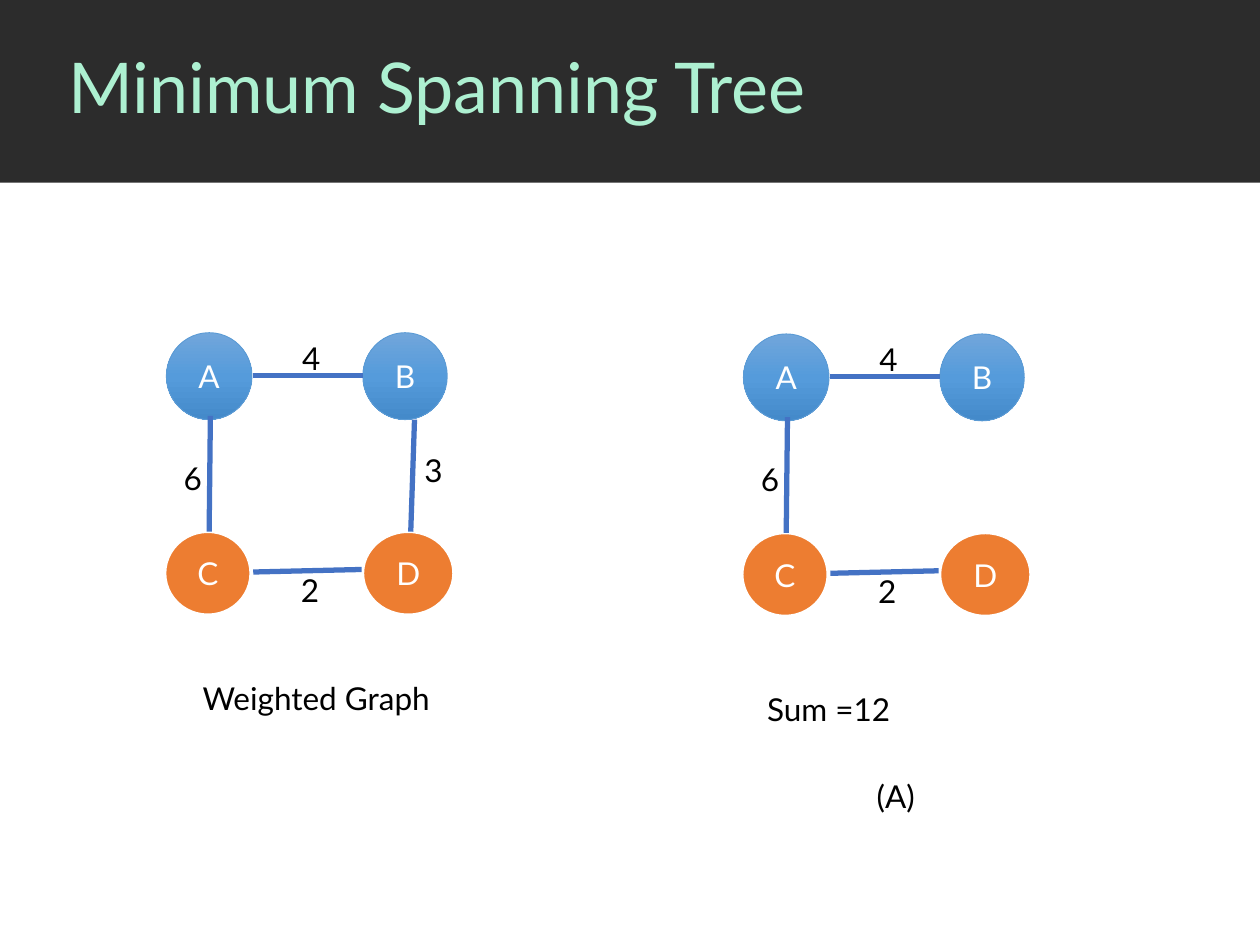
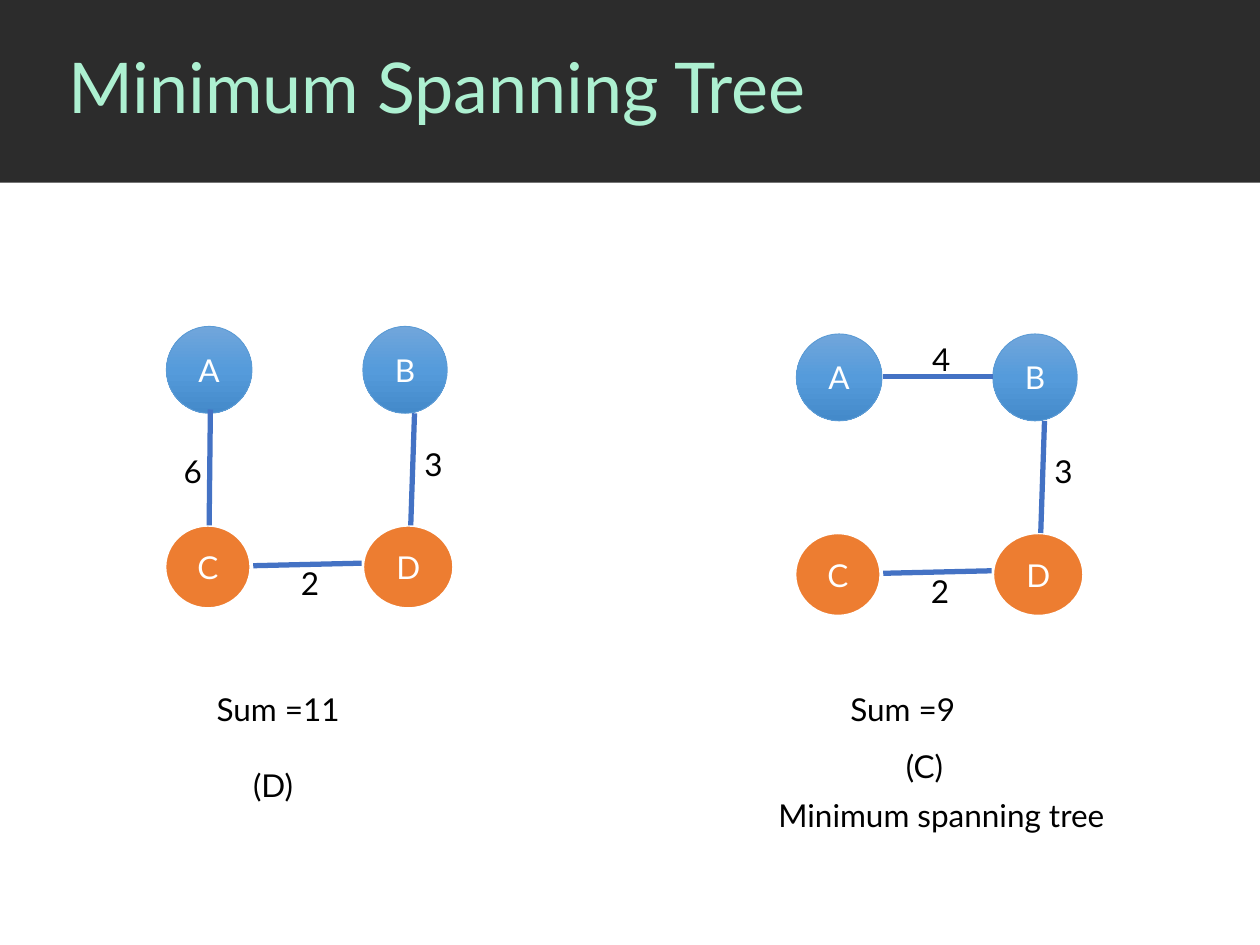
import copy
from dataclasses import dataclass

import pptx
import pptx.dml.color
import pptx.enum.shapes
import pptx.enum.text
import pptx.oxml
import pptx.oxml.ns
import pptx.util

Inches = pptx.util.Inches
Pt = pptx.util.Pt
Align = pptx.enum.text.PP_ALIGN
Anchor = pptx.enum.text.MSO_ANCHOR
Shape = pptx.enum.shapes.MSO_SHAPE


@dataclass(frozen=True)
class Theme:
    font: str = "Lato"
    head: int = 40
    body: int = 18
    band: str = "2C2C2C"
    mint: str = "ADF0D1"
    ink: str = "000000"
    white: str = "FFFFFF"
    orange: str = "ED7D31"
    rim: str = "5B9BD5"
    edge: str = "4472C4"
    blues: tuple = ((0, "71A6DB"), (0.5, "559BDB"), (1, "448ACA"))


THEME = Theme()

# Places within a graph, in inches from its top left corner
NODES = {
    "D": (1.57, 1.58, 0.72, 0.66),
    "B": (1.57, 0, 0.67, 0.69),
    "C": (0, 1.58, 0.68, 0.66),
    "A": (0.01, 0, 0.68, 0.69),
}
# Edge: start, end, corner of the weight's box, weight
EDGES = {
    "AC": ((0.36, 0.66), (0.35, 1.58), (0.05, 0.95), 6),
    "AB": ((1.57, 0.34), (0.7, 0.34), (0.99, 0), 4),
    "BD": ((1.98, 0.69), (1.95, 1.58), (1.96, 0.89), 3),
    "CD": ((1.56, 1.88), (0.7, 1.9), (0.98, 1.84), 2),
}


def rgb(code):
    return pptx.dml.color.RGBColor.from_string(code)


def style(para, color, size=THEME.body, align=Align.LEFT):
    para.alignment = align
    para.font.name = THEME.font
    para.font.size = Pt(size)
    para.font.color.rgb = rgb(color)


def paint(shape, code):
    shape.fill.solid()
    shape.fill.fore_color.rgb = rgb(code)


def shade(shape):
    """Fill with the three blues, from top to bottom."""
    shape.fill.gradient()
    shape.fill.gradient_angle = 270
    stops = next(shape.element.iter(pptx.oxml.ns.qn("a:gsLst")))
    stops.append(copy.deepcopy(stops[-1]))
    for stop, (pos, code) in zip(shape.fill.gradient_stops, THEME.blues):
        stop.position = pos
        stop.color.rgb = rgb(code)


def label(slide, x, y, text, width):
    box = slide.shapes.add_textbox(
        Inches(x), Inches(y), Inches(width), Inches(0.4))
    box.text_frame.word_wrap = True
    box.text_frame.text = text
    style(box.text_frame.paragraphs[0], THEME.ink)


def node(slide, x, y, name):
    dx, dy, width, height = NODES[name]
    disc = slide.shapes.add_shape(
        Shape.OVAL, Inches(x + dx), Inches(y + dy),
        Inches(width), Inches(height))
    disc.shadow.inherit = False
    if name in "AB":
        shade(disc)
        disc.line.color.rgb = rgb(THEME.rim)
        disc.line.width = Pt(0.5)
    else:
        paint(disc, THEME.orange)
        disc.line.color.rgb = rgb(THEME.white)
        disc.line.width = Pt(1.5)
    disc.text_frame.text = name
    disc.text_frame.vertical_anchor = Anchor.MIDDLE
    style(disc.text_frame.paragraphs[0], THEME.white, align=Align.CENTER)


def edge(slide, x, y, name):
    (ax, ay), (bx, by), (tx, ty), weight = EDGES[name]
    line = slide.shapes.add_connector(
        pptx.enum.shapes.MSO_CONNECTOR.STRAIGHT,
        Inches(x + ax), Inches(y + ay), Inches(x + bx), Inches(y + by))
    line.line.color.rgb = rgb(THEME.edge)
    line.line.width = Pt(3)
    props = line.element.spPr
    props.append(props.makeelement(pptx.oxml.ns.qn("a:effectLst"), {}))
    label(slide, x + tx, y + ty, str(weight), 0.31)


def graph(slide, x, y, edges, notes):
    """Draw the four nodes, the named edges and the notes below them."""
    for name in NODES:
        node(slide, x, y, name)
    for name in edges:
        edge(slide, x, y, name)
    for dx, dy, text, width in notes:
        label(slide, x + dx, y + dy, text, width)


def frame(deck):
    """Put the dark band and the title's place on the shared layout."""
    layout = deck.slide_layouts[5]
    title = layout.placeholders[0]
    title.left, title.top = Inches(0.44), 0
    title.width, title.height = Inches(9.56), Inches(1.44)
    slide = deck.slides.add_slide(layout)
    band = slide.shapes.add_shape(
        Shape.RECTANGLE, 0, 0, deck.slide_width, Inches(1.45))
    band.shadow.inherit = False
    paint(band, THEME.band)
    band.line.fill.background()
    layout.shapes.element.insert(2, band.element)
    return layout, slide


def topic(slide, text, graphs):
    title = slide.shapes.title.text_frame
    title.text = text
    title.vertical_anchor = Anchor.MIDDLE
    title.auto_size = pptx.enum.text.MSO_AUTO_SIZE.NONE
    para = title.paragraphs[0]
    style(para, THEME.mint, THEME.head)
    para.line_spacing = 0.9
    for parts in graphs:
        graph(slide, *parts)


def main():
    deck = pptx.Presentation()
    deck.slide_width, deck.slide_height = Inches(10), Inches(7.5)
    layout, first = frame(deck)
    heading = "Minimum Spanning Tree"
    topic(first, heading, [
        (1.31, 2.64, ["AC", "AB", "BD", "CD"],
         [(0.2, 2.7, "Weighted Graph", 2.05)]),
        (5.89, 2.65, ["AC", "AB", "CD"],
         [(0.1, 2.78, "Sum =12", 2.05), (0.97, 3.47, "(A)", 0.58)]),
    ])
    topic(deck.slides.add_slide(layout), heading, [
        (1.31, 2.59, ["AC", "BD", "CD"],
         [(0.31, 2.84, "Sum =11", 2.05), (0.6, 3.44, "(D)", 0.58)]),
        (6.31, 2.65, ["AB", "BD", "CD"],
         [(0.34, 2.78, "Sum =9", 2.05), (0.78, 3.23, "(C)", 0.58),
          (-0.23, 3.62, "Minimum spanning tree", 3.06)]),
    ])
    deck.save("out.pptx")


if __name__ == "__main__":
    main()
